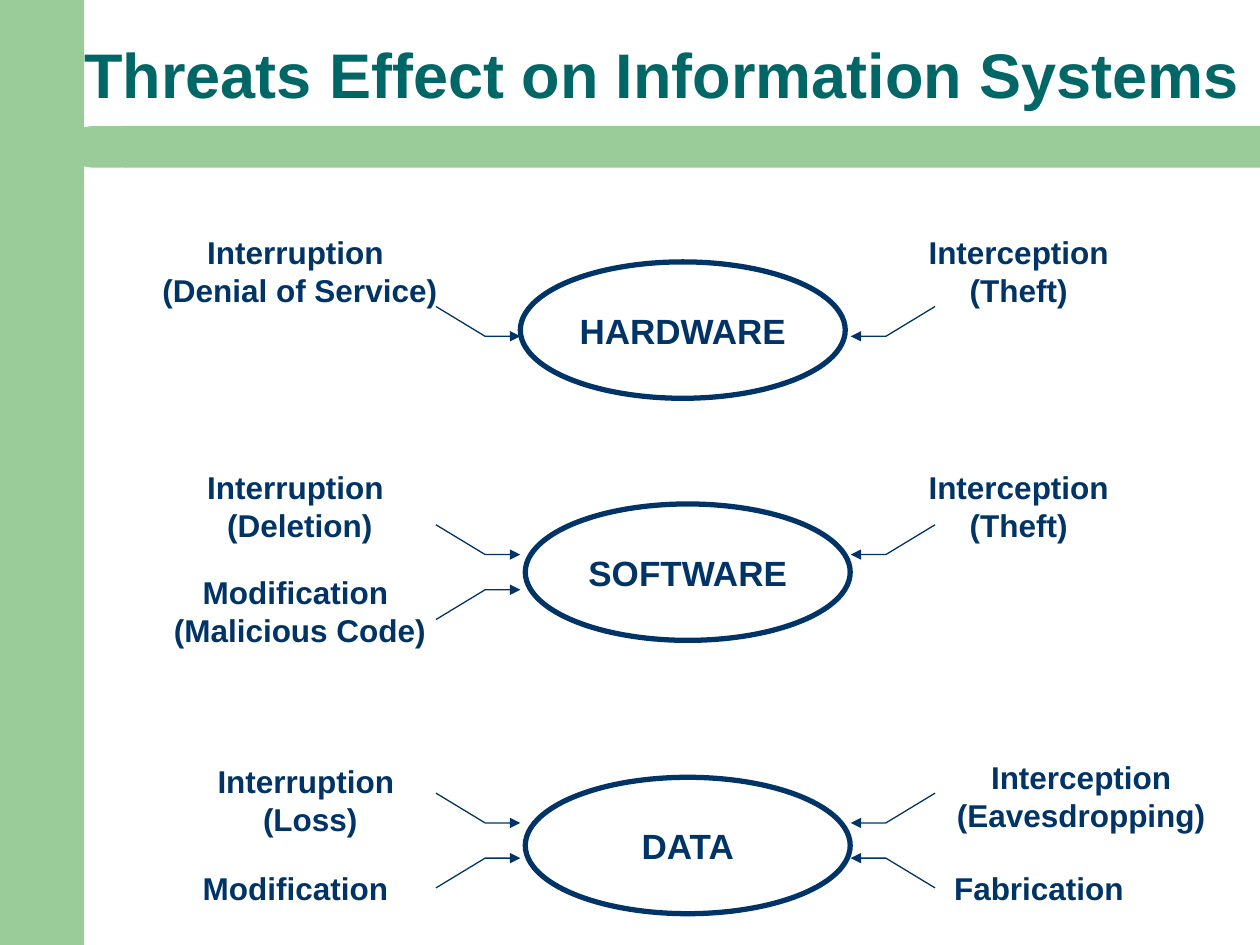
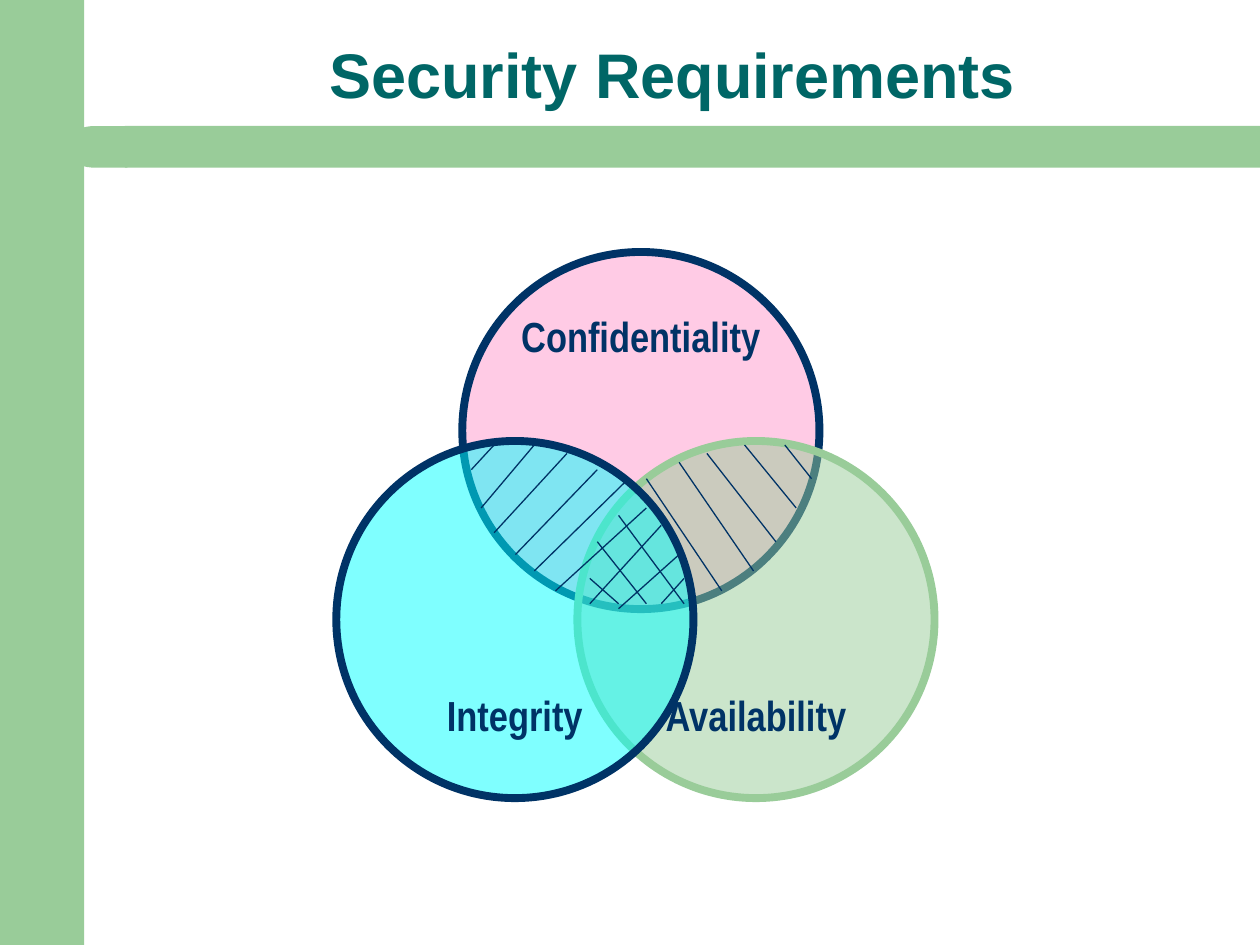
from lxml import etree
from pptx import Presentation
from pptx.dml.color import RGBColor
from pptx.enum.shapes import MSO_CONNECTOR, MSO_SHAPE
from pptx.enum.text import MSO_ANCHOR, PP_ALIGN
from pptx.oxml.ns import qn
from pptx.util import Cm, Pt

RECT, ELLIPSE, DELAY = MSO_SHAPE.RECTANGLE, MSO_SHAPE.OVAL, MSO_SHAPE.FLOWCHART_DELAY
STRAIGHT = MSO_CONNECTOR.STRAIGHT
TOP, MIDDLE, BOTTOM = MSO_ANCHOR.TOP, MSO_ANCHOR.MIDDLE, MSO_ANCHOR.BOTTOM
CENTER, RIGHT = PP_ALIGN.CENTER, PP_ALIGN.RIGHT

GREEN = RGBColor(0x99, 0xCC, 0x99)
TEAL = RGBColor(0x00, 0x66, 0x66)
NAVY = RGBColor(0x00, 0x33, 0x66)
PINK = RGBColor(0xFF, 0x99, 0xCC)
CYAN = RGBColor(0x00, 0xFF, 0xFF)
WHITE = RGBColor(0xFF, 0xFF, 0xFF)

SLIDE_W, SLIDE_H = 25.4, 19.05
THIN = Pt(0.75)

# Threats: text, label left, label width, label offset, arrow offset, arrow rise.
# Offsets are measured from the top of the asset's ellipse.
ASSETS = [
    ("HARDWARE", 10.49, 5.28,
     [("Interruption \v(Denial of Service)", 2.97, 6.15, -0.71, 1.5, -0.6)],
     [("Interception (Theft)", 18.21, 4.65, -0.71, 1.5, -0.6)]),
    ("SOFTWARE", 10.59, 10.16,
     [("Interruption \v(Deletion)", 2.97, 6.15, -0.84, 1.02, -0.6),
      ("Modification \v(Malicious Code)", 2.97, 6.15, 1.27, 1.73, 0.6)],
     [("Interception (Theft)", 18.21, 4.65, -0.84, 1.02, -0.6)]),
    ("DATA", 10.59, 15.67,
     [("Interruption \v(Loss)", 3.18, 6.15, -0.43, 0.92, -0.6),
      ("Modification ", 2.97, 6.15, 1.73, 1.63, 0.6)],
     [("Interception (Eavesdropping)", 18.62, 6.35, -0.51, 0.92, -0.6),
      ("Fabrication", 18.62, 4.65, 1.73, 1.63, 0.6)]),
]
ARROW_LEFT, ARROW_RIGHT = 10.49, 17.15  # where the arrowheads end

CIRCLES = [
    ("Confidentiality", 2.54, 0, PINK, NAVY, TOP),
    ("Availability", 4.86, 3.81, GREEN, GREEN, BOTTOM),
    ("Integrity", 0, 3.81, CYAN, NAVY, BOTTOM),
]
INTEGRITY_HATCH = [
    (3.18, 3.89, 2.72, 4.39), (3.99, 3.89, 2.92, 5.16), (4.65, 4.06, 3.18, 5.66),
    (5.26, 4.39, 3.61, 6.1), (5.89, 4.57, 3.99, 6.43), (6.25, 5.16, 4.42, 6.83),
    (6.55, 5.51, 5.11, 7.09), (6.91, 6.1, 5.69, 7.19), (7.01, 6.58, 6.55, 7.09),
]
AVAILABILITY_HATCH = [
    (9.04, 3.89, 9.58, 4.57), (8.23, 3.89, 9.27, 5.16), (7.47, 4.06, 8.86, 5.84),
    (6.91, 4.24, 8.41, 6.43), (6.25, 4.57, 7.77, 6.83), (5.69, 5.31, 7.01, 7.09),
    (5.26, 5.84, 6.25, 7.09), (5.11, 6.58, 5.69, 7.09),
]


def write(sp, text, size, color=NAVY, font="Arial", align=CENTER, anchor=TOP, wrap=True):
    tf = sp.text_frame
    tf.word_wrap = wrap
    tf.vertical_anchor = anchor
    p = tf.paragraphs[0]
    p.text = text
    p.alignment = align
    for r in p.runs:
        r.font.name, r.font.size, r.font.bold = font, Pt(size), True
        r.font.color.rgb = color
    return p


def add_shape(s, kind, left, top, width, height, fill, line=None, line_width=0):
    sp = s.shapes.add_shape(kind, Cm(left), Cm(top), Cm(width), Cm(height))
    sp.shadow.inherit = False
    sp.fill.solid()
    sp.fill.fore_color.rgb = fill
    if line is None:
        sp.line.fill.background()
    else:
        sp.line.color.rgb = line
        sp.line.width = Pt(line_width)
    return sp


def add_text(s, text, left, top, width, height, size, **style):
    sp = s.shapes.add_textbox(Cm(left), Cm(top), Cm(width), Cm(height))
    return write(sp, text, size, **style)


def add_frame(prs, title, left, width, align):
    """Add a slide with the green bands and its title."""
    s = prs.slides.add_slide(prs.slide_layouts[6])
    add_shape(s, RECT, 0, 0, 1.7, SLIDE_H, GREEN)
    add_shape(s, RECT, 2.52, 2.54, SLIDE_W - 2.52, 0.84, GREEN)
    add_shape(s, DELAY, 1.27, 2.54, 1.3, 0.84, GREEN).rotation = 180
    p = add_text(s, title, left, 0.36, width, 2.03, 36,
                 color=TEAL, align=align, anchor=BOTTOM)
    p.line_spacing = 0.9
    return s


def add_bent_arrow(s, x, y, direction, rise):
    """Draw an arrow pointing at (x, y), coming from the given direction."""
    builder = s.shapes.build_freeform(Cm(x), Cm(y))
    builder.add_line_segments([(Cm(x + direction * 0.71), Cm(y)),
                               (Cm(x + direction * 1.7), Cm(y + rise))], close=False)
    sp = builder.convert_to_shape()
    sp.shadow.inherit = False
    sp.fill.background()
    sp.line.color.rgb = NAVY
    sp.line.width = THIN
    ln = sp.element.spPr.find(qn("a:ln"))
    etree.SubElement(ln, qn("a:headEnd"), type="triangle")


def add_asset(s, name, left, top, left_threats, right_threats):
    sp = add_shape(s, ELLIPSE, left, top, 6.55, 2.75, WHITE, NAVY, 3)
    write(sp, name, 20, anchor=MIDDLE, wrap=False)
    for threats, tip, direction in ((left_threats, ARROW_LEFT, -1),
                                    (right_threats, ARROW_RIGHT, 1)):
        for text, label_left, width, label_dy, arrow_dy, rise in threats:
            add_bent_arrow(s, tip, top + arrow_dy, direction, rise)
            height = 1.78 if "(" in text else 1.02
            add_text(s, text, label_left, top + label_dy, width, height, 18)


def add_hatch(s, left, top, lines):
    for x1, y1, x2, y2 in lines:
        line = s.shapes.add_connector(STRAIGHT, Cm(left + x1), Cm(top + y1),
                                      Cm(left + x2), Cm(top + y2))
        line.line.color.rgb = NAVY
        line.line.width = THIN
        etree.SubElement(line.element.spPr, qn("a:effectLst"))


def add_venn(s, left, top, diameter):
    for name, dx, dy, fill, outline, anchor in CIRCLES:
        sp = add_shape(s, ELLIPSE, left + dx, top + dy, diameter, diameter,
                       fill, outline, 4.5)
        color = sp.element.spPr.find(qn("a:solidFill")).find(qn("a:srgbClr"))
        etree.SubElement(color, qn("a:alpha"), val="50000")
        write(sp, name, 24, font="Arial Narrow", anchor=anchor, wrap=False)
    add_hatch(s, left, top, INTEGRITY_HATCH + AVAILABILITY_HATCH)


def main():
    prs = Presentation()
    prs.slide_width, prs.slide_height = Cm(SLIDE_W), Cm(SLIDE_H)

    s = add_frame(prs, "Threats Effect on Information Systems", 1.19, 24.05, RIGHT)
    for asset in ASSETS:
        add_asset(s, *asset)

    s = add_frame(prs, "Security Requirements", 2.06, 22.99, CENTER)
    add_venn(s, 6.78, 5.08, 7.2)

    prs.save("out.pptx")


if __name__ == "__main__":
    main()
